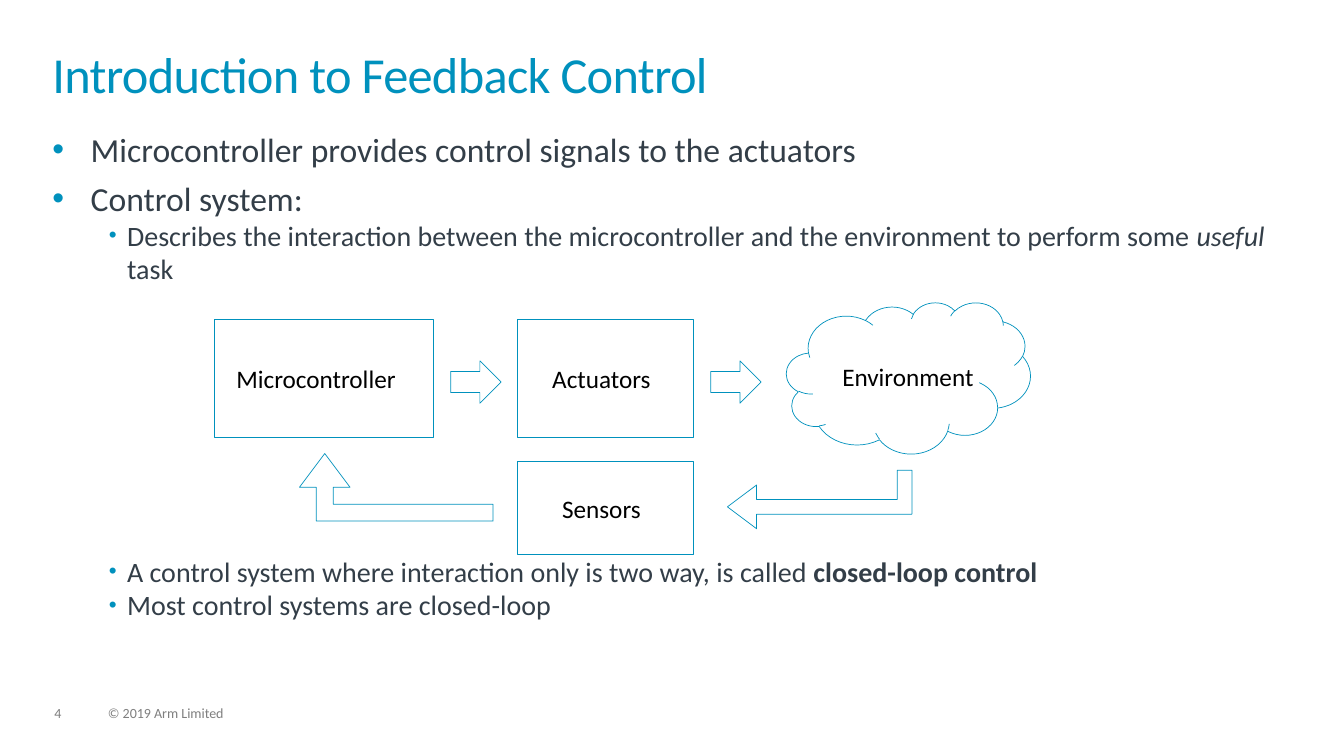
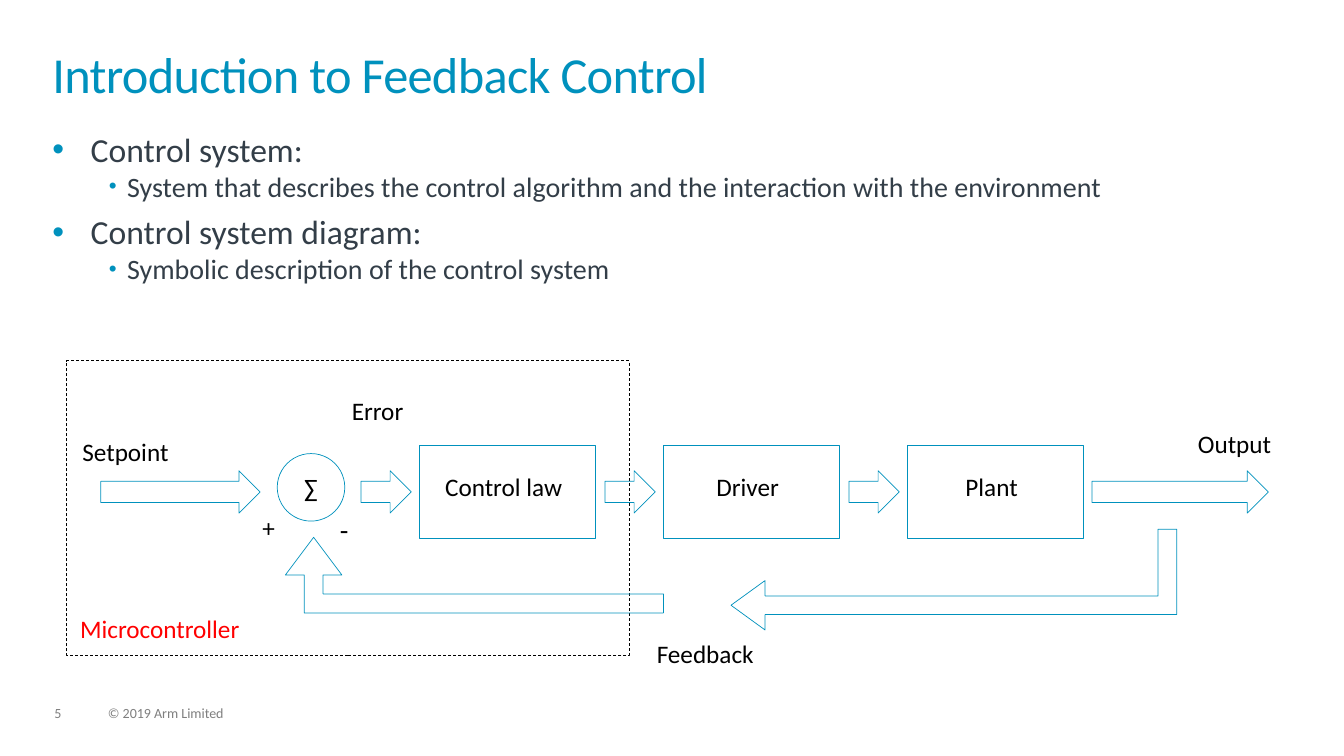
from lxml import etree
from pptx import Presentation
from pptx.dml.color import RGBColor
from pptx.enum.dml import MSO_LINE
from pptx.enum.shapes import MSO_SHAPE
from pptx.enum.text import MSO_ANCHOR, MSO_AUTO_SIZE, PP_ALIGN
from pptx.oxml.ns import qn
from pptx.util import Inches, Pt

RECT, OVAL, CLOUD = MSO_SHAPE.RECTANGLE, MSO_SHAPE.OVAL, MSO_SHAPE.CLOUD
ARROW, BENT = MSO_SHAPE.RIGHT_ARROW, MSO_SHAPE.BENT_UP_ARROW
TOP, MIDDLE = MSO_ANCHOR.TOP, MSO_ANCHOR.MIDDLE
LEFT, CENTER = PP_ALIGN.LEFT, PP_ALIGN.CENTER
DASH, FIXED = MSO_LINE.DASH, MSO_AUTO_SIZE.NONE

FONT = "Calibri"
COLORS = {"blue": "0091BD", "slate": "333E48", "gray": "7F7F7F",
          "black": "000000", "red": "FF0000", "white": "FFFFFF"}
RGB = {name: RGBColor.from_string(code) for name, code in COLORS.items()}

TITLE = "Introduction to Feedback Control"
TITLE_AT = (0.52, 0.52, 12.28, 0.72)
BODY_AT = (0.52, 1.28, 12.28, 4.47)
# Per level: left margin, hanging indent, text size, space before, bullet percent
LEVELS = [(0.38, -0.38, 24, 6, 100), (0.74, -0.18, 20, 0, 80)]
BENDS = (0.25, 0.374, 0.499)
ROOM = 192  # points left free in the list for the loop diagram

# Each list entry: level, runs, optional space before
PAGES = [
    (4, [
        (0, [("Microcontroller provides control signals to the actuators", {})]),
        (0, [("Control system:", {})]),
        (1, [("Describes the interaction between the microcontroller and the "
              "environment to perform some ", {}),
             ("useful", {"italic": True}), (" task", {})]),
        (1, [("A control system where interaction only is two way, is called ", {}),
             ("closed-loop control", {"bold": True})], ROOM),
        (1, [("Most control systems are closed-loop", {})]),
    ]),
    (5, [
        (0, [("Control system:", {})]),
        (1, [("System that describes the control algorithm and the interaction "
              "with the environment", {})]),
        (0, [("Control system diagram:", {})]),
        (1, [("Symbolic description of the control system", {})]),
    ]),
]


def write(slide, text, at, size=18, color="black", align=CENTER, host=None,
          anchor=TOP, pad=(0, 0)):
    """Put one line of text in host, or in a new text box; pad is right, bottom."""
    box = host or slide.shapes.add_textbox(*map(Inches, at))
    frame = box.text_frame
    form = {"word_wrap": True, "auto_size": FIXED, "vertical_anchor": anchor,
            "margin_left": 0, "margin_top": 0,
            "margin_right": Inches(pad[0]), "margin_bottom": Inches(pad[1])}
    for name, value in form.items():
        setattr(frame, name, value)
    para = frame.paragraphs[0]
    para.alignment = align
    run = para.add_run()
    run.text = text
    run.font.name, run.font.size = FONT, Pt(size)
    run.font.color.rgb = RGB[color]
    return para


def draw(slide, kind, at, text=None, pad=(0, 0), line="blue", turn=None, bends=BENDS):
    """Add an outlined shape; a turned one is also flipped upside down."""
    shape = slide.shapes.add_shape(kind, *map(Inches, at))
    shape.shadow.inherit = False
    shape.fill.background()
    shape.line.color.rgb = RGB[line]
    shape.line.width = Pt(0.5)
    if turn:
        shape.rotation = turn
        shape._element.spPr.find(qn("a:xfrm")).set("flipV", "1")
        for i, bend in enumerate(bends):
            shape.adjustments[i] = bend
    if text:
        write(slide, text, at, host=shape, anchor=MIDDLE, pad=pad)
    return shape


prs = Presentation()
prs.slide_width, prs.slide_height = Inches(13.33), Inches(7.5)
slides = []

for number, items in PAGES:
    slide = prs.slides.add_slide(prs.slide_layouts[1])
    slides.append(slide)
    title, body = slide.placeholders
    for holder, at in ((title, TITLE_AT), (body, BODY_AT)):
        holder.left, holder.top, holder.width, holder.height = map(Inches, at)
    head = write(slide, TITLE, TITLE_AT, 36, "blue", LEFT, host=title)
    head.line_spacing = 0.85
    head.runs[0].font._element.set("spc", "-50")

    frame = body.text_frame
    form = {"word_wrap": True, "auto_size": FIXED, "vertical_anchor": TOP,
            "margin_left": 0, "margin_top": 0, "margin_right": 0, "margin_bottom": 0}
    for name, value in form.items():
        setattr(frame, name, value)
    for i, (level, runs, *room) in enumerate(items):
        para = frame.add_paragraph() if i else frame.paragraphs[0]
        left, hang, size, gap, scale = LEVELS[level]
        para.level = level
        props = para._p.get_or_add_pPr()
        props.set("marL", str(Inches(left)))
        props.set("indent", str(Inches(hang)))
        tint = etree.SubElement(props, qn("a:buClr"))
        etree.SubElement(tint, qn("a:srgbClr"), val=COLORS["blue"])
        etree.SubElement(props, qn("a:buSzPct"), val=str(scale * 1000))
        etree.SubElement(props, qn("a:buFont"), typeface="Arial")
        etree.SubElement(props, qn("a:buChar"), char="•")
        para.space_before = Pt(room[0] if room else gap if i else 0)
        for text, style in runs:
            run = para.add_run()
            run.text = text
            look = {"name": FONT, "size": Pt(size), **style}
            for name, value in look.items():
                setattr(run.font, name, value)
            run.font.color.rgb = RGB["slate"]

    for text, left, width in ((str(number), 0.54, 0.34),
                              ("© 2019 Arm Limited", 1.07, 1.71)):
        foot = write(slide, text, (left, 7.01, width, 0.15), 10, "gray", LEFT)
        foot.line_spacing = 0.9

loop, chart = slides

# Loop between microcontroller and environment
draw(loop, RECT, (2.13, 3.17, 2.17, 1.17), "Microcontroller", (0.16, 0))
draw(loop, RECT, (5.13, 3.17, 1.75, 1.17), "Actuators", (0.08, 0))
draw(loop, RECT, (5.13, 4.58, 1.75, 0.92), "Sensors", (0.08, 0))
for left in (4.47, 7.05):
    draw(loop, ARROW, (left, 3.58, 0.5, 0.42))
draw(loop, CLOUD, (7.8, 3, 2.42, 1.5))
plate = loop.shapes.add_shape(RECT, *map(Inches, (8.34, 3.58, 1.33, 0.33)))
plate.shadow.inherit = False
plate.fill.solid()
plate.fill.fore_color.rgb = RGB["white"]
plate.line.fill.background()
write(loop, "Environment", None, host=plate)
draw(loop, BENT, (7.84, 4.04, 0.58, 1.83), turn=90)
draw(loop, BENT, (2.97, 4.5, 1.92, 0.67), turn=180)

# Control system diagram
frame = draw(chart, RECT, (0.66, 3.58, 5.58, 2.92), line="black")
frame.line.dash_style = DASH
for i, name in enumerate(("Control law", "Driver", "Plant")):
    left = 4.16 + 2.42 * i
    draw(chart, ARROW, (left - 0.58, 4.67, 0.5, 0.42))
    draw(chart, RECT, (left, 4.42, 1.75, 0.92), name, (0.08, 0.1))
draw(chart, ARROW, (1, 4.67, 1.58, 0.42))
draw(chart, ARROW, (10.83, 4.67, 1.75, 0.42))
draw(chart, OVAL, (2.75, 4.5, 0.67, 0.67), "∑")
draw(chart, BENT, (8.96, 3.54, 1, 4.42), turn=90, bends=(0.185, 0.245, 0.338))
draw(chart, BENT, (2.83, 5.33, 3.75, 0.75), turn=180)
for text, left, top, size, color in (
        ("Setpoint", 0.41, 4.33, 18, "black"),
        ("Error", 2.91, 3.92, 18, "black"),
        ("+", 1.83, 5.08, 18, "black"),
        ("-", 2.58, 5.08, 20, "black"),
        ("Output", 11.41, 4.25, 18, "black"),
        ("Feedback", 6.16, 6.33, 18, "black"),
        ("Microcontroller", 0.75, 6.08, 18, "red")):
    write(chart, text, (left, top, 1.67, 0.42), size, color)

prs.save("out.pptx")
